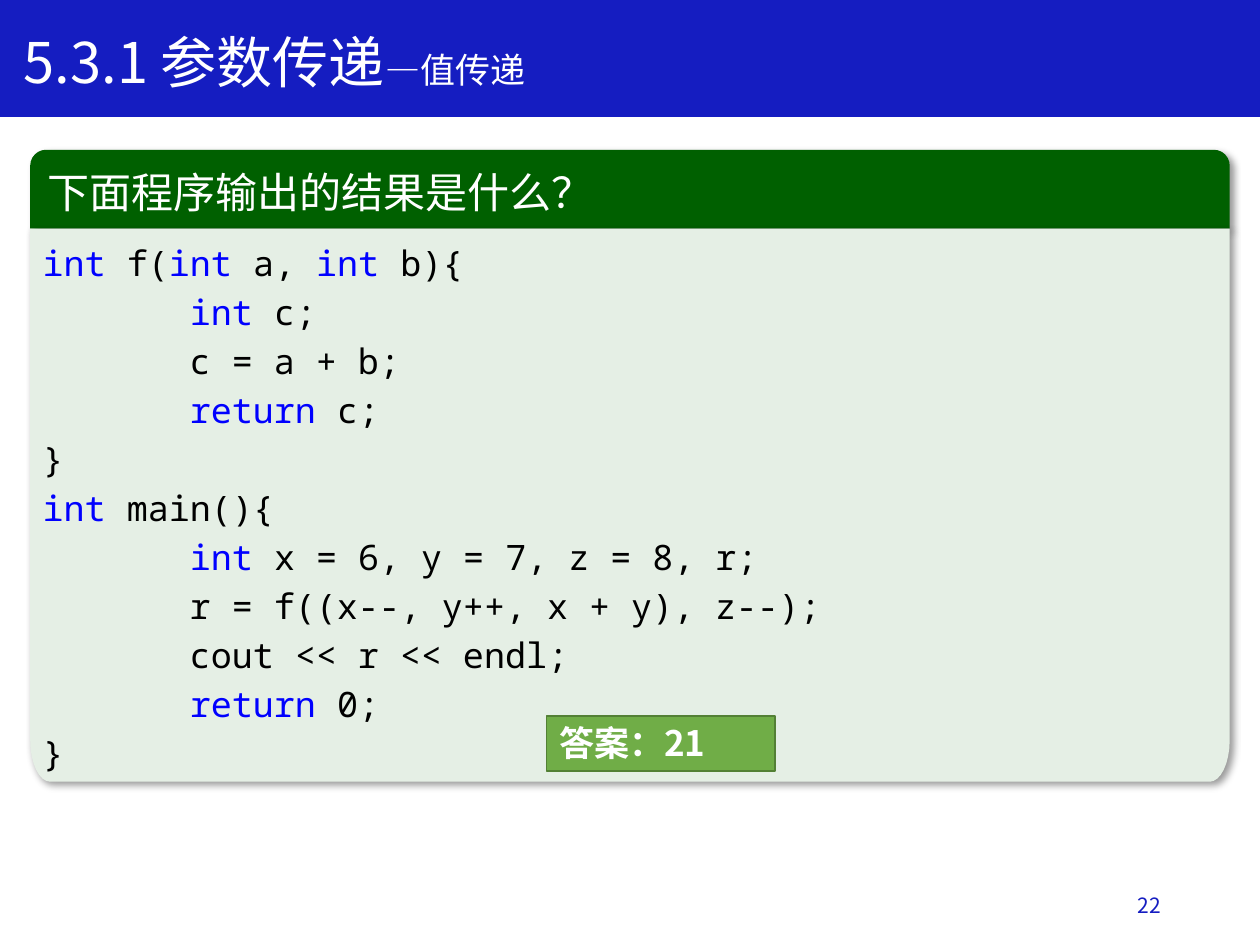
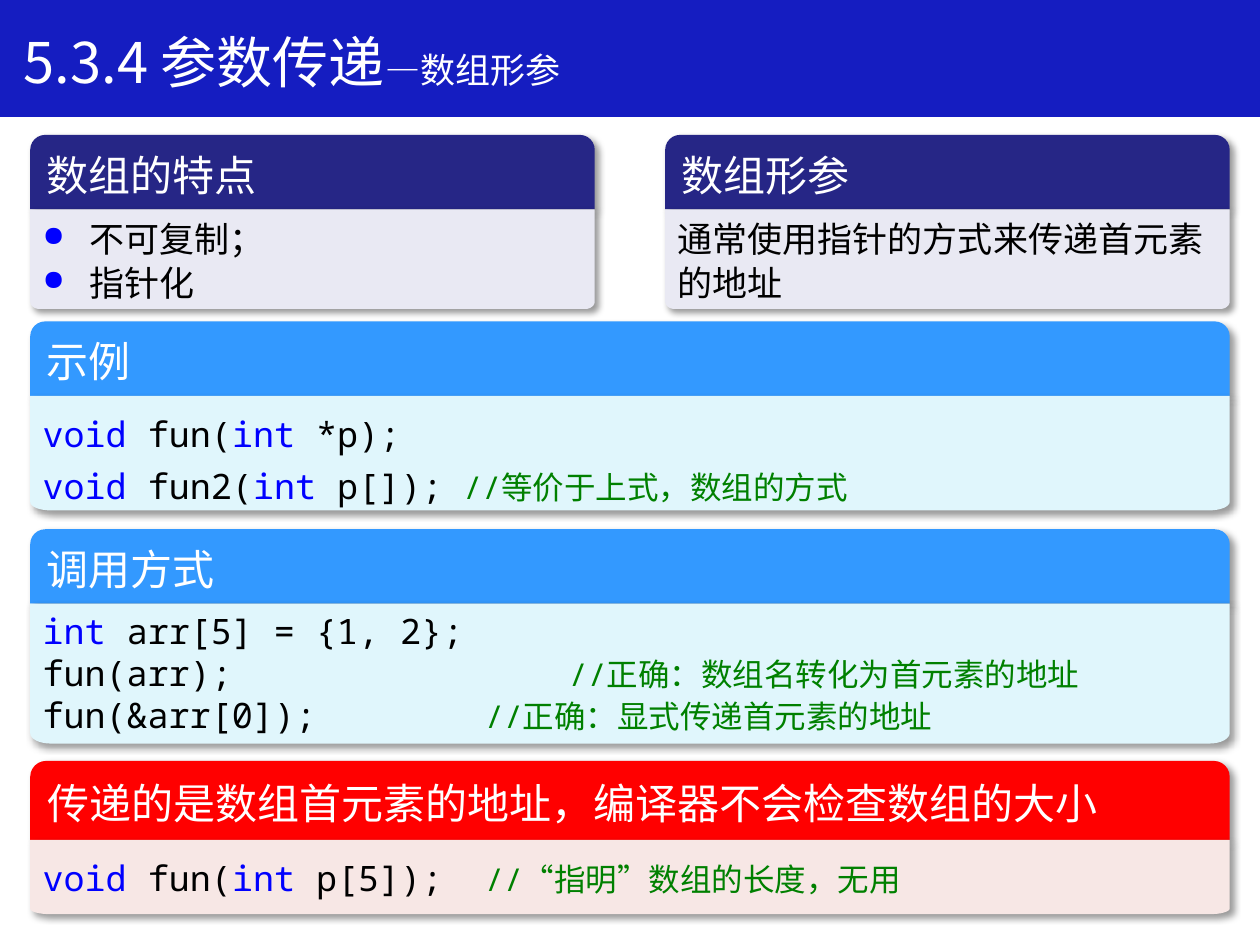
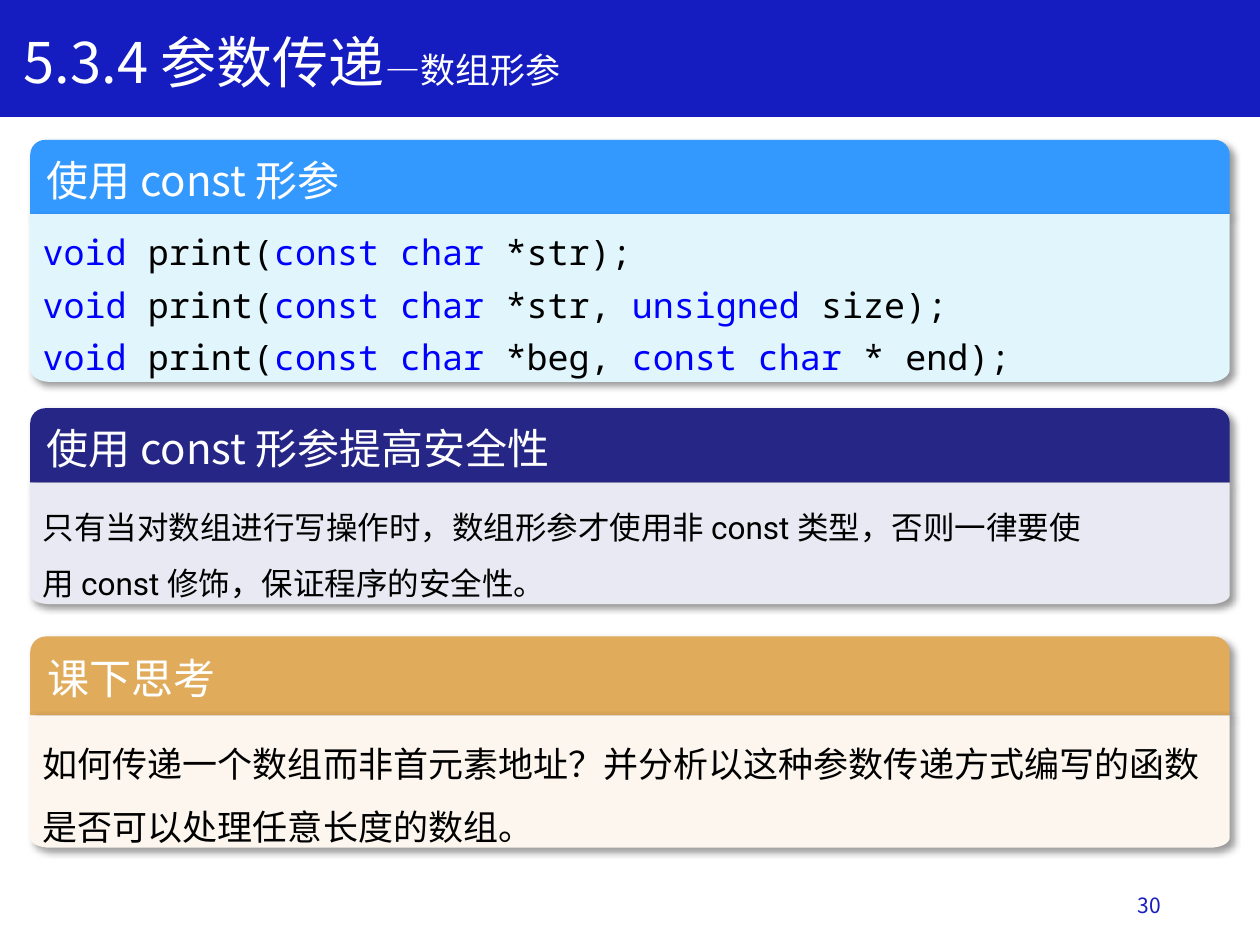
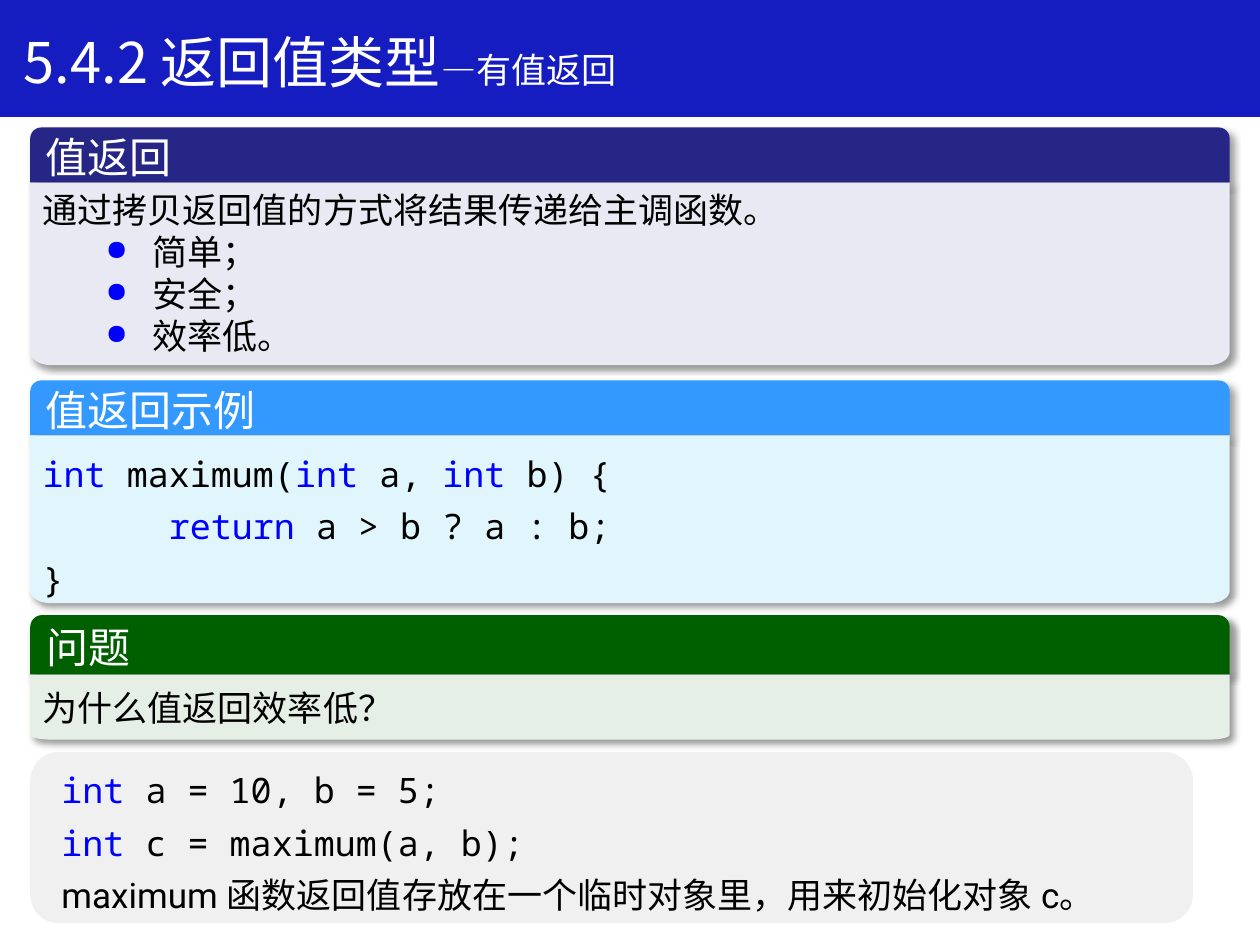
from math import cos, pi, sin

from lxml import etree
from pptx import Presentation
from pptx.dml.color import RGBColor
from pptx.enum.shapes import MSO_SHAPE
from pptx.enum.text import MSO_ANCHOR, PP_ALIGN
from pptx.oxml.ns import qn
from pptx.util import Cm, Pt

RECT = MSO_SHAPE.RECTANGLE
ROUND = MSO_SHAPE.ROUNDED_RECTANGLE
TOP_ROUND = MSO_SHAPE.ROUND_2_SAME_RECTANGLE
TOP, MID = MSO_ANCHOR.TOP, MSO_ANCHOR.MIDDLE
LEFT, RIGHT = PP_ALIGN.LEFT, PP_ALIGN.RIGHT

SANS, MONO = "Noto Sans CJK SC", "Noto Sans Mono"
LATIN, DEJA = "Roboto", "DejaVu Sans Mono"

HEX = {
    "bar": "151DC1", "white": "FFFFFF", "black": "000000",
    "key": "0000FF", "note": "008000", "gray": "F0F0F0",
    "answer": "70AD47", "edge": "538035",
}
TONES = {
    "green": ("006000", "E5EFE5"),
    "navy": ("262686", "E9E9F3"),
    "sky": ("3399FF", "E0F6FC"),
    "red": ("FF0000", "F7E7E5"),
    "gold": ("E0AB5B", "FCF6EE"),
}
EDGE, WIDE, HALF = 0.61, 24.18, 11.38
RIGHT_X = EDGE + WIDE - HALF
STOPS = (8.92, 10.61)


def color(name):
    return RGBColor.from_string(HEX.get(name, name))


def add_tag(parent, tag, **attrs):
    node = etree.SubElement(parent, qn(tag))
    for key, value in attrs.items():
        node.set(key, str(value))
    return node


def set_font(font, size, tint="black", face=SANS, bold=None):
    font.size = Pt(size)
    font.color.rgb = color(tint)
    font.name = face
    font.bold = bold
    add_tag(font._rPr, "a:ea", typeface=SANS)


def add_run(para, text, size, tint="black", face=SANS):
    if text:
        run = para.add_run()
        run.text = text
        set_font(run.font, size, tint, face)


def paint(shape, fill, line=None):
    shape.shadow.inherit = False
    shape.fill.solid()
    shape.fill.fore_color.rgb = color(fill)
    if line:
        shape.line.color.rgb = color(line)
        shape.line.width = Pt(1)
    else:
        shape.line.fill.background()


def cast(shape):
    effects = shape._element.spPr.find(qn("a:effectLst"))
    shade = add_tag(effects, "a:outerShdw", blurRad=Pt(4), dist=Pt(3),
                    dir=45 * 60000, algn="tl", rotWithShape=0)
    tint = add_tag(shade, "a:srgbClr", val=HEX["black"])
    add_tag(tint, "a:alpha", val=40000)


def add_box(slide, kind, place, fill, line=None):
    shape = slide.shapes.add_shape(kind, *map(Cm, place))
    paint(shape, fill, line)
    return shape


def add_text(slide, place):
    return slide.shapes.add_textbox(*map(Cm, place)).text_frame


def first(frame, anchor=TOP, gap=None):
    frame.word_wrap = True
    frame.vertical_anchor = anchor
    para = frame.paragraphs[0]
    para.alignment = LEFT
    para.line_spacing = gap
    return para


def say(para, text, size=20, tint="black", face=SANS, bold=None):
    para.text = text
    set_font(para.font, size, tint, face, bold)


def write_code(para, *lines):
    for index, line in enumerate(lines):
        if index:
            para.add_line_break()
        body, mark, note = line.partition("//")
        for turn, part in enumerate(body.split("|")):
            add_run(para, part, 20, "key" if turn % 2 else "black", MONO)
        add_run(para, mark, 18, "note", MONO)
        add_run(para, note, 18, "note")


def write_prose(para, size, *lines):
    for index, line in enumerate(lines):
        if index:
            para.add_line_break()
        for turn, part in enumerate(line.split("|")):
            add_run(para, part, size, face=LATIN if turn % 2 else SANS)


def add_stops(para):
    stops = add_tag(para._p.get_or_add_pPr(), "a:tabLst")
    for stop in STOPS:
        add_tag(stops, "a:tab", pos=Cm(stop), algn="l")


def add_bullet(frame, para, text, level, gap):
    para = para or frame.add_paragraph()
    para.alignment = LEFT
    para.level = level
    para.line_spacing = Pt(gap)
    props = para._p.get_or_add_pPr()
    props.set("marL", str(Cm(0.95 + 1.27 * level)))
    props.set("indent", str(Cm(-0.95)))
    add_tag(add_tag(props, "a:buClr"), "a:srgbClr", val=HEX["key"])
    add_tag(props, "a:buSzPct", val=80000)
    add_tag(props, "a:buChar", char="●")
    say(para, text)


def add_body(slide, left, top, width, height, fill):
    rx, ry = width / 60, height * 0.075
    right, low = left + width, top + height
    turns = [step * pi / 16 for step in range(9)]
    points = [(right, top)]
    points += [(right - rx + rx * cos(t), low - ry + ry * sin(t)) for t in turns]
    points += [(left + rx - rx * sin(t), low - ry + ry * cos(t)) for t in turns]
    pen = slide.shapes.build_freeform(Cm(left), Cm(top))
    pen.add_line_segments([(Cm(x), Cm(y)) for x, y in points], close=True)
    shape = pen.convert_to_shape()
    paint(shape, fill)
    cast(shape)
    return shape.text_frame


def add_panel(slide, tone, title, top, head, body, left=EDGE, width=WIDE, face=SANS):
    dark, light = TONES[tone]
    band = add_box(slide, TOP_ROUND, (left, top, width, head), dark)
    band.adjustments[0] = 0.2
    cast(band)
    say(first(band.text_frame, MID), title, 24, "white", face)
    return add_body(slide, left, top + head, width, body, light)


def add_slide(deck, title, topic, number=None):
    slide = deck.slides.add_slide(deck.slide_layouts[6])
    add_box(slide, RECT, (0, 0, 25.4, 2.34), "bar", "bar")
    if number:
        para = first(add_text(slide, (17.93, 17.73, 5.72, 1.02)), MID)
        say(para, number, 12, "bar")
        para.alignment = RIGHT
    para = first(add_text(slide, (0.23, 0.43, 13.64, 1.63)))
    add_run(para, title, 32, "white")
    add_run(para, "—" + topic, 20, "white")
    return slide


def add_quiz(deck):
    slide = add_slide(deck, "5.3.1 参数传递", "值传递", "22")
    frame = add_panel(slide, "green", "下面程序输出的结果是什么？", 3.02, 1.59, 11.15)
    write_code(
        first(frame, gap=Pt(28)),
        "|int |f(|int |a, |int |b){",
        "       |int |c;",
        "       c = a + b;",
        "       |return |c;",
        "}",
        "|int |main(){",
        "       |int |x = 6, y = 7, z = 8, r;",
        "       r = f((x--, y++, x + y), z--);",
        "       cout << r << endl;",
        "       |return |0;",
        "}",
    )
    answer = add_box(slide, RECT, (11.02, 14.43, 4.6, 1.11), "answer", "edge")
    say(first(answer.text_frame), "答案：21", 20, "white", bold=True)


def add_array(deck):
    slide = add_slide(deck, "5.3.4 参数传递", "数组形参")
    frame = add_panel(slide, "navy", "数组的特点", 2.72, 1.5, 2.01, width=HALF)
    add_bullet(frame, first(frame), "不可复制；", 0, 25)
    add_bullet(frame, None, "指针化", 0, 25)
    frame = add_panel(slide, "navy", "数组形参", 2.72, 1.5, 2.01, RIGHT_X, HALF)
    say(first(frame, gap=Pt(25)), "通常使用指针的方式来传递首元素的地址")

    frame = add_panel(slide, "sky", "示例", 6.48, 1.5, 2.31)
    write_code(
        first(frame, gap=Pt(30)),
        "|void |fun(|int |*p);",
        "|void |fun2(|int |p[]); //等价于上式，数组的方式",
    )
    para = first(add_panel(slide, "sky", "调用方式", 10.67, 1.5, 2.82))
    add_stops(para)
    write_code(
        para,
        "|int |arr[5] = {1, 2};",
        "fun(arr);\t\t//正确：数组名转化为首元素的地址",
        "fun(&arr[0]);\t//正确：显式传递首元素的地址",
    )
    frame = add_panel(slide, "red", "传递的是数组首元素的地址，编译器不会检查数组的大小",
                      15.34, 1.59, 1.5, face=DEJA)
    para = first(frame, gap=Pt(30))
    para.space_after = Pt(12)
    add_stops(para)
    write_code(para, "|void |fun(|int |p[5]);\t//“指明”数组的长度，无用")


def add_const(deck):
    slide = add_slide(deck, "5.3.4 参数传递", "数组形参", "30")
    frame = add_panel(slide, "sky", "使用 const 形参", 2.82, 1.5, 3.38)
    write_code(
        first(frame, gap=Pt(30)),
        "|void |print(|const char |*str);",
        "|void |print(|const char |*str, |unsigned |size);",
        "|void |print(|const char |*beg, |const char |* end);",
    )
    frame = add_panel(slide, "navy", "使用 const 形参提高安全性", 8.23, 1.5, 2.45)
    write_prose(
        first(frame, gap=1.5), 18,
        "只有当对数组进行写操作时，数组形参才使用非 |const |类型，否则一律要使",
        "用 |const |修饰，保证程序的安全性。",
    )
    frame = add_panel(slide, "gold", "课下思考", 12.83, 1.59, 2.67)
    say(first(frame, gap=1.5),
        "如何传递一个数组而非首元素地址？并分析以这种参数传递方式编写的函数"
        "是否可以处理任意长度的数组。")


def add_return(deck):
    slide = add_slide(deck, "5.4.2 返回值类型", "有值返回")
    frame = add_panel(slide, "sky", "值返回示例", 7.67, 1.11, 3.38)
    write_code(
        first(frame, gap=Pt(30)),
        "|int |maximum(|int |a, |int |b) {",
        "      |return |a > b ? a : b;",
        "}",
    )
    frame = add_panel(slide, "navy", "值返回", 2.57, 1.11, 3.68)
    say(first(frame, gap=Pt(24)), "通过拷贝返回值的方式将结果传递给主调函数。")
    for text in ("简单；", "安全；", "效率低。"):
        add_bullet(frame, None, text, 1, 24)

    frame = add_panel(slide, "green", "问题", 12.4, 1.2, 1.31)
    say(first(frame, MID), "为什么值返回效率低？")

    add_box(slide, ROUND, (EDGE, 15.16, 23.44, 3.45), "gray")
    para = first(add_text(slide, (0.99, 15.16, 23.44, 3.38)), gap=Pt(30))
    write_code(para, "|int |a = 10, b = 5;", "|int |c = maximum(a, b);")
    para.add_line_break()
    write_prose(para, 20, "|maximum |函数返回值存放在一个临时对象里，用来初始化对象 |c|。")


def main():
    deck = Presentation()
    deck.slide_width, deck.slide_height = Cm(25.4), Cm(19.05)
    add_quiz(deck)
    add_array(deck)
    add_const(deck)
    add_return(deck)
    deck.save("out.pptx")


if __name__ == "__main__":
    main()
